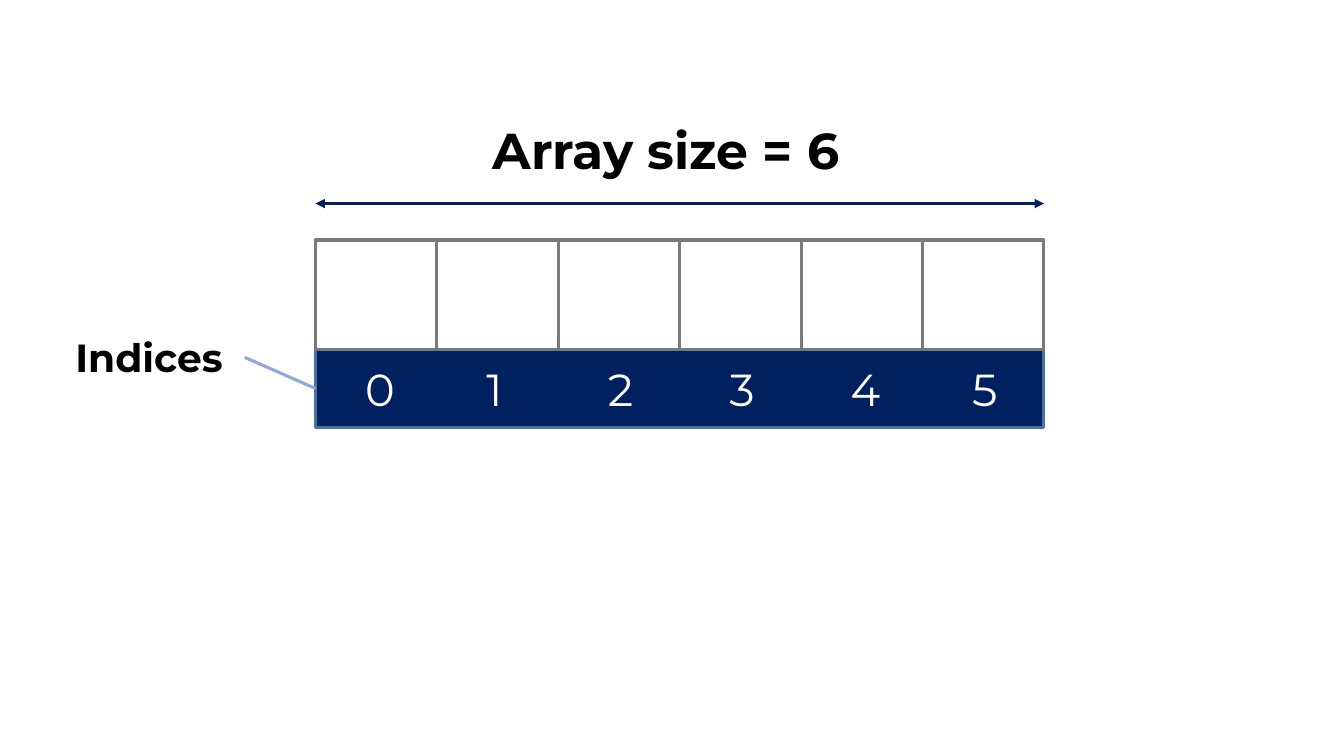
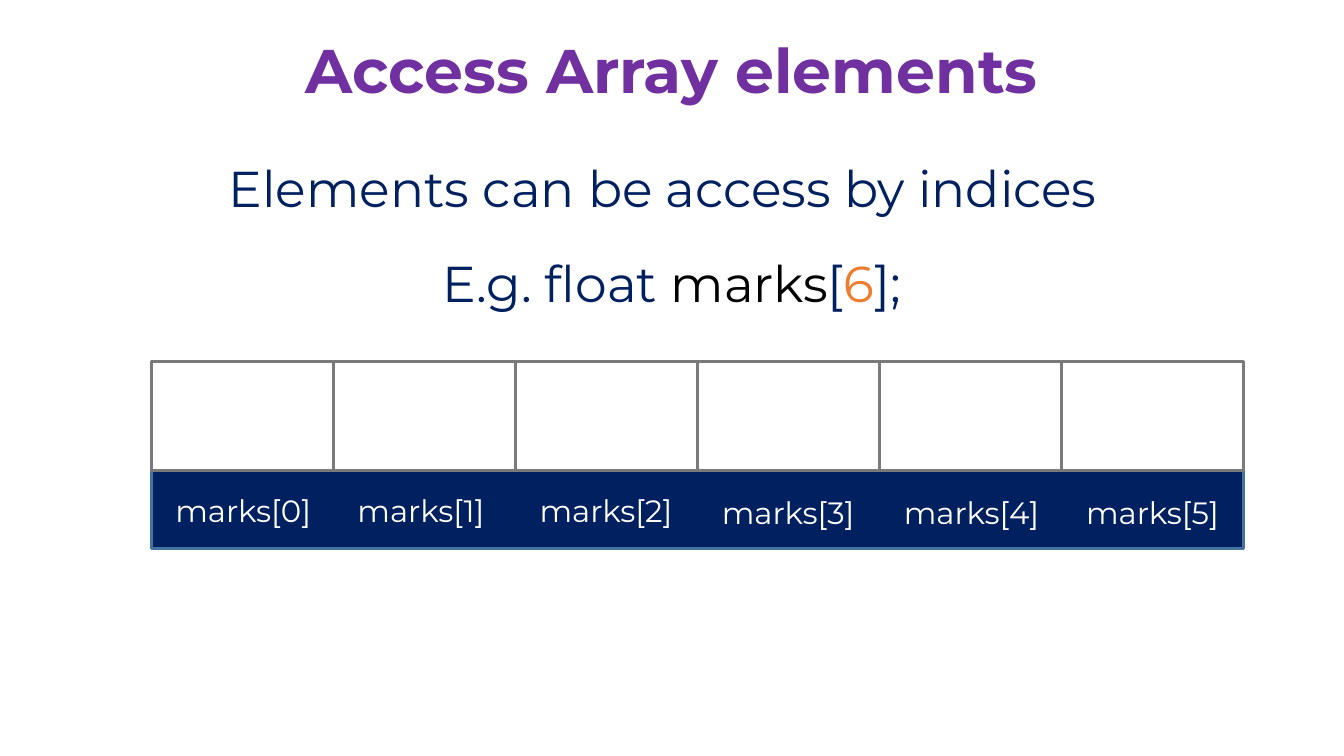
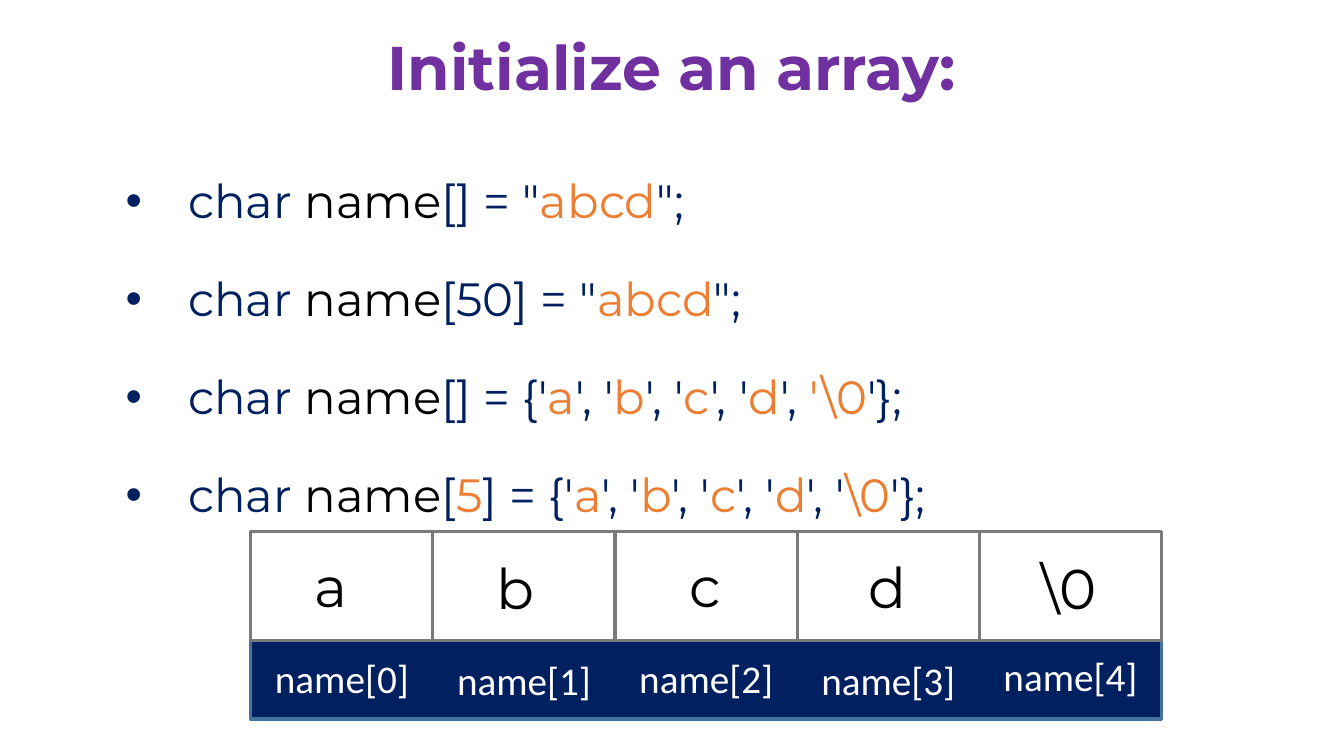
from lxml.etree import SubElement
from pptx import Presentation
from pptx.dml.color import RGBColor
from pptx.enum.shapes import MSO_CONNECTOR as Link, MSO_SHAPE as Shape
from pptx.enum.text import MSO_ANCHOR as Anchor, PP_ALIGN as Align
from pptx.oxml.ns import qn
from pptx.util import Cm, Pt

NAVY = RGBColor(0x00, 0x20, 0x60)
STEEL = RGBColor(0x43, 0x73, 0x9E)
SKY = RGBColor(0x8F, 0xAA, 0xDC)
GRAY = RGBColor(0x7A, 0x7A, 0x7A)
PURPLE = RGBColor(0x70, 0x30, 0xA0)
ORANGE = RGBColor(0xED, 0x7D, 0x31)
BLACK = RGBColor(0x00, 0x00, 0x00)
WHITE = RGBColor(0xFF, 0xFF, 0xFF)
FONT = "Montserrat"
WIDE = 33.87
CELL = 2.75
BAR = 1.98


def write(slide, text, left, top, wide, high, size, color, bold=False, font=FONT):
    """Add a text box; "|" sets off a black name, then orange values."""
    box = slide.shapes.add_textbox(Cm(left), Cm(top), Cm(wide), Cm(high))
    frame = box.text_frame
    frame.word_wrap = True
    for num, line in enumerate(text.split("\n")):
        para = frame.paragraphs[0] if num == 0 else frame.add_paragraph()
        for pos, part in enumerate(line.split("|")):
            run = para.add_run()
            run.text = part
            run.font.name = font
            run.font.size = Pt(size)
            run.font.bold = bold
            if pos % 2 == 0:
                run.font.color.rgb = color
            else:
                run.font.color.rgb = BLACK if pos == 1 else ORANGE
    return box


def strip(slide, left, top, step, count):
    """Draw a row of cells over an index bar, and return the bar."""
    rects = [(left, top + CELL, step * count, BAR, NAVY, STEEL)]
    rects += [(left + step * i, top, step, CELL, WHITE, GRAY) for i in range(count)]
    made = []
    for x, y, wide, high, fill, edge in rects:
        rect = slide.shapes.add_shape(Shape.RECTANGLE, Cm(x), Cm(y), Cm(wide), Cm(high))
        rect.shadow.inherit = False
        rect.fill.solid()
        rect.fill.fore_color.rgb = fill
        rect.line.color.rgb = edge
        rect.line.width = Pt(2.25)
        made.append(rect)
    return made[0]


deck = Presentation()
deck.slide_width, deck.slide_height = Cm(WIDE), Cm(19.05)
size, access, init = [deck.slides.add_slide(deck.slide_layouts[6]) for _ in range(3)]

for slide, text, top in [
    (access, "Access Array elements", 0.69),
    (init, "Initialize an array:", 0.61),
]:
    title = write(slide, text, 0, top, WIDE, 2.13, 44, PURPLE, True)
    title.text_frame.vertical_anchor = Anchor.BOTTOM
    title.text_frame.paragraphs[0].alignment = Align.CENTER
    title.text_frame.paragraphs[0].line_spacing = 0.9

# Array size
left, step = 7.95, 3.06
bar = strip(size, left, 6.05, step, 6)
for i in range(6):
    write(size, str(i), left + 1 + step * i, 8.99, 1.6, 1.63, 32, WHITE)
label = write(size, "Indices", 1.65, 8.28, 4.52, 1.45, 28, BLACK, True)
write(size, "Array size = 6", 12.17, 2.87, 10.13, 1.8, 36, BLACK, True)

span = size.shapes.add_connector(
    Link.STRAIGHT, Cm(left), Cm(5.13), Cm(left + step * 6), Cm(5.13))
lead = size.shapes.add_connector(Link.STRAIGHT, 0, 0, 0, 0)
lead.begin_connect(label, 3)
lead.end_connect(bar, 1)
for line, color in [(span, NAVY), (lead, SKY)]:
    line.line.color.rgb = color
    line.line.width = Pt(2.25)
    SubElement(line._element.spPr, qn("a:effectLst"))
for end in ["a:headEnd", "a:tailEnd"]:
    SubElement(span.line._get_or_add_ln(), qn(end), type="triangle")

# Access by index
for text, x, y in [
    ("Elements can be access by indices", 2.26, 4.01),
    ("E.g. float |marks|[|6|];", 2.49, 6.4),
]:
    box = write(access, text, x, y, 28.88, 1.9, 36, NAVY)
    para = box.text_frame.paragraphs[0]
    para.alignment = Align.CENTER
    para.line_spacing = 0.9
    para.space_before = Pt(10)

left, step = 3.81, 4.59
strip(access, left, 9.1, step, 6)
for i in range(6):
    top = 12.27 if i < 3 else 12.32
    write(access, f"marks[{i}]", left + 0.36 + step * i, top, 4.24, 1.19, 22, WHITE)

# Initialize
left = 6.32
strip(init, left, 13.39, step, 5)
for i, (text, shift, top, low) in enumerate([
    ("a", 1.35, 13.77, 16.36),
    ("b", 1.35, 13.82, 16.41),
    ("c", 1.63, 13.77, 16.36),
    ("d", 1.55, 13.79, 16.41),
    ("\\0", 1.32, 13.82, 16.31),
]):
    x = left + step * i
    write(init, f"name[{i}]", x + 0.36, low, 4.24, 1.45, 28, WHITE, font="Calibri")
    write(init, text, x + shift, top, 2.3, 1.96, 40, BLACK)

CODE = """char |name|[] = "|abcd|";
char |name|[50] = "|abcd|";
char |name|[] = {'|a|', '|b|', '|c|', '|d|', |'\\0|'};
char |name|[|5|] = {'|a|', '|b|', '|c|', '|d|', '|\\0|'};"""
code = write(init, CODE, 2.92, 3.51, 27.13, 9.5, 33.3, NAVY)
for para in code.text_frame.paragraphs:
    para.line_spacing = 1.5
    para.space_before = Pt(10)
    props = para._p.get_or_add_pPr()
    props.set("marL", str(Cm(1.58)))
    props.set("indent", str(-Cm(1.58)))
    SubElement(props, qn("a:buFont"), typeface="Arial")
    SubElement(props, qn("a:buChar"), char="•")

deck.save("out.pptx")
